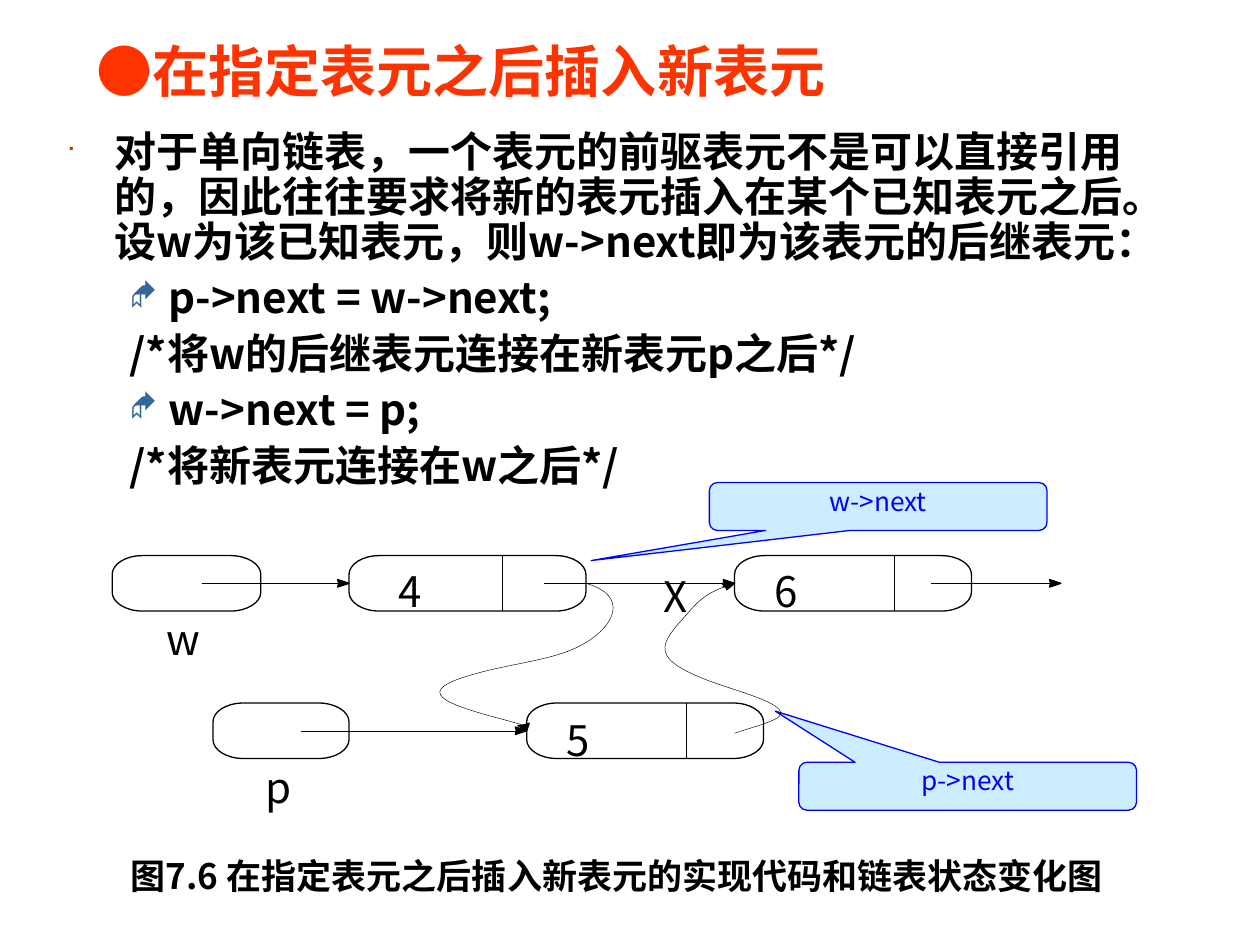
from typing import NamedTuple, Optional

from lxml.etree import SubElement, Element
from pptx import Presentation
from pptx.dml.color import RGBColor
from pptx.enum.shapes import MSO_CONNECTOR as Connector, MSO_SHAPE as Preset
from pptx.enum.text import MSO_ANCHOR as Anchor, PP_ALIGN as Align
from pptx.oxml.ns import qn
from pptx.util import Cm, Pt

FONT, BULLET_FONT = "Noto Sans CJK SC", "Wingdings"
COLORS = {"title": "FF3300", "body": "010000", "black": "000000", "white": "FFFFFF",
          "callout": "CCECFF", "blue": "0000FF", "square": "CC3300", "diamond": "336699"}
HAIRLINE = Pt(0.25)
NODE_HEIGHT, CORNER_X, CORNER_Y = 0.44, 0.24, 0.15
KAPPA = 0.55  # control point share of a rounded corner
HEAD_LENGTH, HEAD_HALF = 0.09, 0.03
TOP_ROW, BOTTOM_ROW = 4.41, 5.58
TOP_AXIS, BOTTOM_AXIS = TOP_ROW + NODE_HEIGHT / 2, BOTTOM_ROW + NODE_HEIGHT / 2

Point = tuple[float, float]
Segment = tuple[Point, ...]  # one point: line; three points: Bezier curve


class Bullet(NamedTuple):
    symbol: str
    color: str
    percent: int


class Line(NamedTuple):
    text: str
    margin: float
    indent: float
    bullet: Optional[Bullet]


class Node(NamedTuple):
    left: float
    top: float
    width: float
    divider: Optional[float] = None


class Label(NamedTuple):
    text: str
    left: float
    top: float


class Callout(NamedTuple):
    text: str
    left: float
    top: float
    tip: Point


class Arrow(NamedTuple):
    start: float
    end: float
    axis: float


class Curve(NamedTuple):
    start: Point
    segments: list[Segment]
    head: list[Segment]  # start point, then the other points of the arrowhead


def inches(value: float) -> Cm:
    return Cm(value * 2.54)


def color(name: str) -> RGBColor:
    return RGBColor.from_string(COLORS[name])


def add_run(paragraph, text: str, size: float, name: str, bold: bool = False) -> None:
    run = paragraph.add_run()
    run.text = text
    run.font.size, run.font.bold = Pt(size), bold
    run.font.color.rgb = color(name)
    run.font.name = FONT
    SubElement(run.font._element, qn("a:ea"), typeface=FONT)


def add_text_box(left, top, width, height, inset=True, anchor=Anchor.TOP):
    frame = slide.shapes.add_textbox(*map(inches, (left, top, width, height))).text_frame
    frame.word_wrap, frame.vertical_anchor = True, anchor
    frame.margin_left = frame.margin_right = inches(0.1 if inset else 0)
    frame.margin_top = frame.margin_bottom = inches(0.05 if inset else 0)
    return frame


def format_line(paragraph, line: Line) -> None:
    properties = paragraph._p.get_or_add_pPr()
    properties.set("marL", str(inches(line.margin)))
    properties.set("indent", str(inches(line.indent)))
    properties.set("hangingPunct", "0")
    if line.bullet is None:
        SubElement(properties, qn("a:buNone"))
        return
    bullet_color = SubElement(properties, qn("a:buClr"))
    SubElement(bullet_color, qn("a:srgbClr"), val=COLORS[line.bullet.color])
    SubElement(properties, qn("a:buSzPct"), val=str(line.bullet.percent * 1000))
    SubElement(properties, qn("a:buFont"), typeface=BULLET_FONT, charset="2")
    SubElement(properties, qn("a:buChar"), char=line.bullet.symbol)


def draw_outline(start: Point, segments: list[Segment], fill: Optional[str] = None,
                 stroke: Optional[Pt] = HAIRLINE) -> None:
    points = [tuple(map(inches, point)) for segment in segments for point in segment]
    builder = slide.shapes.build_freeform(*map(inches, start))
    builder.add_line_segments(points, close=fill is not None)
    shape = builder.convert_to_shape()
    shape.shadow.inherit = False
    # Join the three points of each curve into one Bezier command
    steps = iter(list(shape._element.iter(qn("a:lnTo"))))
    for segment in segments:
        commands = [next(steps) for _ in segment]
        if len(commands) == 3:
            curve = Element(qn("a:cubicBezTo"))
            commands[0].addprevious(curve)
            for command in commands:
                curve.append(command[0])
                command.getparent().remove(command)
    if fill:
        shape.fill.solid()
        shape.fill.fore_color.rgb = color(fill)
    else:
        shape.fill.background()
    shape.line.color.rgb, shape.line.width = color("black"), stroke


def draw_line(start: Point, end: Point) -> None:
    connector = slide.shapes.add_connector(Connector.STRAIGHT, *map(inches, start + end))
    connector.line.color.rgb, connector.line.width = color("black"), HAIRLINE
    SubElement(connector.line._get_or_add_ln(), qn("a:miter"), lim="800000")
    SubElement(connector._element.spPr, qn("a:effectLst"))


def draw_node(node: Node) -> None:
    left, top, right, bottom = node.left, node.top, node.left + node.width, node.top + NODE_HEIGHT
    segments = []
    for x, y, dx, dy in ((right, bottom, -1, -1), (right, top, -1, 1),
                         (left, top, 1, 1), (left, bottom, 1, -1)):
        on_side, on_edge = (x, y + dy * CORNER_Y), (x + dx * CORNER_X, y)
        near_side = (x, y + dy * CORNER_Y * (1 - KAPPA))
        near_edge = (x + dx * CORNER_X * (1 - KAPPA), y)
        if dx == dy:  # edge to side
            segments += [(on_edge,), (near_edge, near_side, on_side)]
        else:  # side to edge
            segments += [(on_side,), (near_side, near_edge, on_edge)]
    draw_outline(segments[0][0], segments[1:], fill="white", stroke=Pt(0))
    if node.divider:
        draw_line((node.divider, top), (node.divider, bottom))


def draw_arrow(arrow: Arrow) -> None:
    back, axis = arrow.end - HEAD_LENGTH, arrow.axis
    draw_line((arrow.start, axis), (back + 0.02, axis))
    draw_outline((arrow.end, axis), [
        ((back, axis + HEAD_HALF),),
        ((back + 0.01, axis + 0.01), (back + 0.01, axis - 0.01), (back, axis - HEAD_HALF))],
        fill="black", stroke=Pt(0))


def draw_callout(callout: Callout) -> None:
    shape = slide.shapes.add_shape(Preset.ROUNDED_RECTANGULAR_CALLOUT, *map(
        inches, (callout.left, callout.top, 2.68, 0.38)))
    shape.shadow.inherit = False
    shape.adjustments[0], shape.adjustments[1] = callout.tip
    shape.fill.solid()
    shape.fill.fore_color.rgb = color("callout")
    shape.line.color.rgb, shape.line.width = color("blue"), Pt(0.75)
    shape.text_frame.vertical_anchor = Anchor.TOP
    paragraph = shape.text_frame.paragraphs[0]
    paragraph.alignment, paragraph.line_spacing = Align.CENTER, 0.8
    add_run(paragraph, callout.text, 15, "blue")


SQUARE, DIAMOND = Bullet("■", "square", 50), Bullet("◆", "diamond", 75)
LINES = [
    Line("对于单向链表，一个表元的前驱表元不是可以直接引用的，因此往往要求将新的表元插入在某个"
         "已知表元之后。设w为该已知表元，则w->next即为该表元的后继表元：", 0.38, -0.38, SQUARE),
    Line("p->next = w->next;", 0.81, -0.31, DIAMOND),
    Line("/*将w的后继表元连接在新表元p之后*/", 0.81, -0.31, None),
    Line("w->next = p;", 0.81, -0.31, DIAMOND),
    Line("/*将新表元连接在w之后*/", 0.81, -0.31, None)]
CALLOUTS = [Callout("p->next", 6.34, 6.05, (-0.57, -1.57)),
            Callout("w->next", 5.63, 3.83, (-0.85, 1.13))]
NODES = [Node(0.89, TOP_ROW, 1.18), Node(2.77, TOP_ROW, 1.88, 3.99),
         Node(5.83, TOP_ROW, 1.88, 7.1), Node(1.69, BOTTOM_ROW, 1.08),
         Node(4.18, BOTTOM_ROW, 1.88, 5.45)]
ARROWS = [Arrow(1.6, 2.77, TOP_AXIS), Arrow(4.32, 5.83, TOP_AXIS),
          Arrow(7.39, 8.42, TOP_AXIS), Arrow(2.39, 4.18, BOTTOM_AXIS)]
CURVES = [
    Curve((5.83, 5.82), [((5.94, 5.78), (6.15, 5.73), (6.19, 5.68)),
                         ((6.24, 5.6), (5.97, 5.52), (5.73, 5.44)),
                         ((5.49, 5.36), (5.3, 5.27), (5.28, 5.17)),
                         ((5.26, 5.08), (5.36, 4.98), (5.43, 4.9)),
                         ((5.52, 4.8), (5.57, 4.72), (5.77, 4.65))],
          [((5.83, 4.63),), ((5.77, 4.68),), ((5.77, 4.66), (5.75, 4.65), (5.73, 4.63))]),
    Curve((4.65, 4.63), [((5, 4.73), (4.87, 4.97), (4.65, 5.1)),
                         ((4.46, 5.22), (4.18, 5.25), (3.88, 5.32)),
                         ((3.72, 5.36), (3.54, 5.41), (3.5, 5.47)),
                         ((3.41, 5.59), (4, 5.7), (4.16, 5.76))],
          [((4.18, 5.8),), ((4.11, 5.76),), ((4.14, 5.76), (4.17, 5.75), (4.2, 5.74))])]
LABELS = [Label("w", 1.32, 4.87), Label("4", 3.16, 4.49), Label("6", 6.15, 4.49),
          Label("p", 2.11, 6.04), Label("5", 4.5, 5.67), Label("X", 5.27, 4.53)]

presentation = Presentation()
presentation.slide_width, presentation.slide_height = Cm(25.4), Cm(19.05)
slide = presentation.slides.add_slide(presentation.slide_layouts[6])

# Title
title = add_text_box(0.67, 0.21, 6.93, 0.83, anchor=Anchor.MIDDLE).paragraphs[0]
title.line_spacing = 0.7
add_run(title, "●在指定表元之后插入新表元", 32, "title", bold=True)

# Explanation and code
body = add_text_box(0.43, 0.99, 9, 3.23)
for index, line in enumerate(LINES):
    paragraph = body.add_paragraph() if index else body.paragraphs[0]
    paragraph.line_spacing = 0.9
    paragraph.space_before = Pt(6 if index else 0)
    format_line(paragraph, line)
    add_run(paragraph, line.text, 24, "body", bold=True)

# Linked list diagram
for callout in CALLOUTS:
    draw_callout(callout)
for node in NODES:
    draw_node(node)
for arrow in ARROWS:
    draw_arrow(arrow)
for curve in CURVES:
    draw_outline(curve.start, curve.segments)
    draw_outline(curve.head[0][0], curve.head[1:], fill="black", stroke=Pt(0))
for label in LABELS:
    frame = add_text_box(label.left, label.top, 0.4, 0.4, inset=False)
    add_run(frame.paragraphs[0], label.text, 24, "black")

# Caption
caption = add_text_box(0.94, 6.73, 8.3, 0.44).paragraphs[0]
add_run(caption, "图7.6 在指定表元之后插入新表元的实现代码和链表状态变化图", 20, "body", bold=True)

presentation.save("out.pptx")
